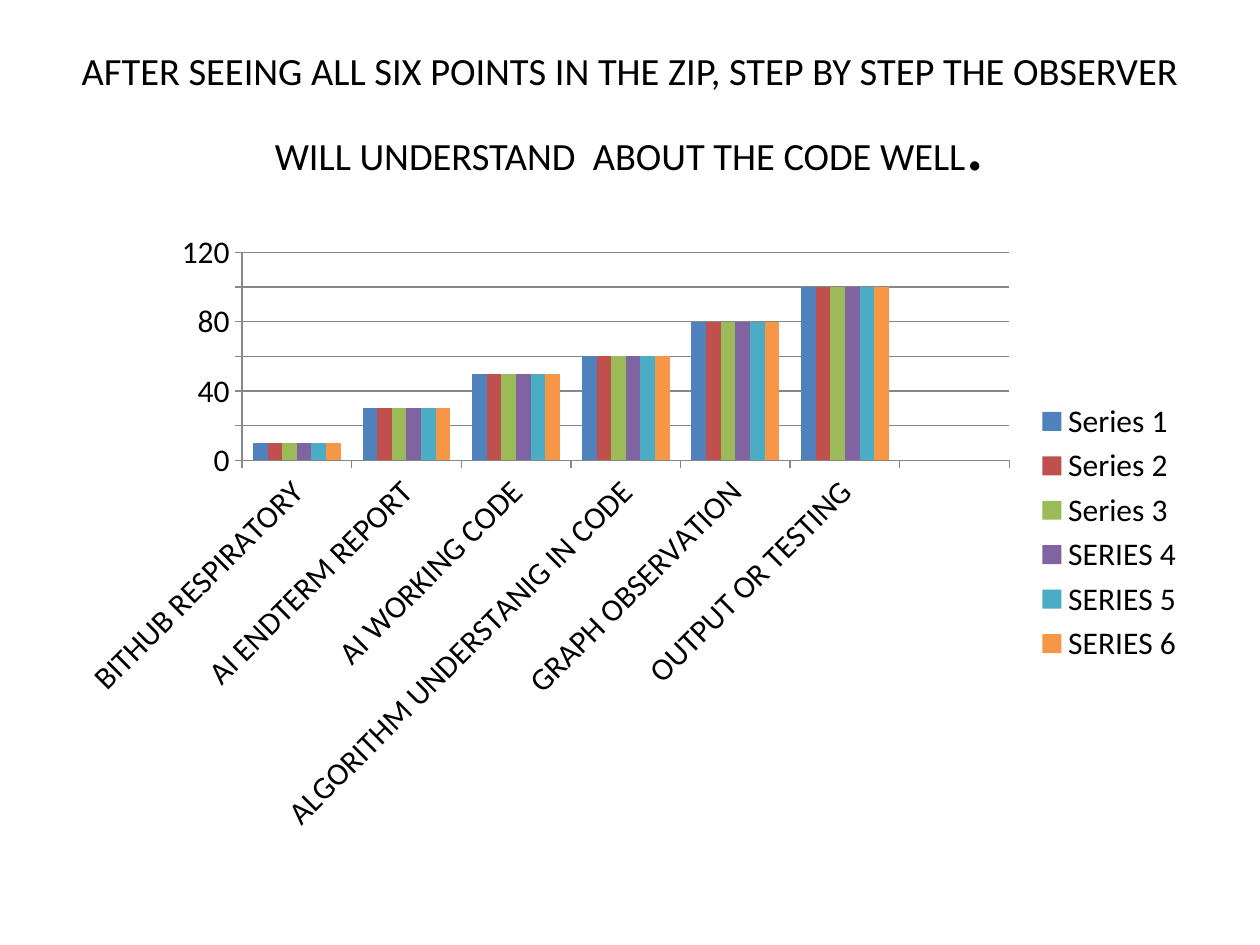
from pptx import Presentation
from pptx.chart.data import CategoryChartData
from pptx.dml.color import RGBColor
from pptx.enum.chart import XL_CHART_TYPE, XL_LEGEND_POSITION, XL_TICK_MARK
from pptx.enum.text import MSO_ANCHOR, MSO_AUTO_SIZE, PP_ALIGN
from pptx.oxml.ns import qn
from pptx.util import Cm, Pt

BLACK = RGBColor(0x00, 0x00, 0x00)
GRAY = RGBColor(0x87, 0x87, 0x87)
BLUE = RGBColor(0x4F, 0x81, 0xBD)
RED = RGBColor(0xC0, 0x50, 0x4D)
GREEN = RGBColor(0x9B, 0xBB, 0x59)
PURPLE = RGBColor(0x80, 0x64, 0xA2)
TEAL = RGBColor(0x4B, 0xAC, 0xC6)
ORANGE = RGBColor(0xF7, 0x96, 0x46)

SERIES = {"Series 1": BLUE, "Series 2": RED, "Series 3": GREEN,
          "SERIES 4": PURPLE, "SERIES 5": TEAL, "SERIES 6": ORANGE}
PROGRESS = {"BITHUB RESPIRATORY": 10, "AI ENDTERM REPORT": 30,
            "AI WORKING CODE": 50, "ALGORITHM UNDERSTANIG IN CODE": 60,
            "GRAPH OBSERVATION": 80, "OUTPUT OR TESTING": 100}


class SlideWriter:
    """Holds the text style and the current slide."""

    font = "Calibri"
    color = BLACK

    def __init__(self, page):
        """Start writing on the given page."""
        self.page = page

    def style(self, font, size):
        """Apply the common font style at a size in points."""
        font.name = self.font
        font.size = Pt(size)
        font.color.rgb = self.color

    def title(self, spans, left, top, width, height):
        """Fill and place the title from (text, size) spans."""
        box = self.page.shapes.title
        box.left, box.top, box.width, box.height = left, top, width, height
        frame = box.text_frame
        frame.word_wrap = True
        frame.auto_size = MSO_AUTO_SIZE.NONE
        frame.vertical_anchor = MSO_ANCHOR.MIDDLE
        para = frame.paragraphs[0]
        para.alignment = PP_ALIGN.CENTER
        for text, size in spans:
            span = para.add_run()
            span.text = text
            self.style(span.font, size)

    def column_chart(self, data, colors, left, top, width, height):
        """Add a clustered column chart with a legend at the right."""
        chart = self.page.shapes.add_chart(
            XL_CHART_TYPE.COLUMN_CLUSTERED, left, top, width, height, data).chart
        self.style(chart.font, 18)
        chart.has_title = False
        chart.has_legend = True
        chart.legend.position = XL_LEGEND_POSITION.RIGHT
        chart.legend.include_in_layout = False
        plot = chart.plots[0]
        plot.vary_by_categories = False
        plot.gap_width = 150
        plot.overlap = 0
        for series, color in zip(plot.series, colors):
            series.format.fill.solid()
            series.format.fill.fore_color.rgb = color
            series.invert_if_negative = False
        values = chart.value_axis
        values.minimum_scale, values.maximum_scale = 0, 120
        values.major_unit = 20
        values.has_major_gridlines = True
        for axis in (chart.category_axis, values):
            axis.major_tick_mark = XL_TICK_MARK.OUTSIDE
            axis.minor_tick_mark = XL_TICK_MARK.NONE
            self.line(axis.format.line)
        self.line(values.major_gridlines.format.line)
        self.style(chart.category_axis.tick_labels.font, 18)
        labels = chart.category_axis._element.find(qn("c:txPr"))
        labels.find(qn("a:bodyPr")).set("rot", "-2700000")

    def line(self, line):
        """Give an axis or grid line its thin gray look."""
        line.color.rgb = GRAY
        line.width = Pt(0.75)


def progress_data():
    """Return the equal series, with a last category left unnamed."""
    data = CategoryChartData()
    data.categories = [*PROGRESS, ""]
    for index, name in enumerate(SERIES):
        data.add_series(name, [*PROGRESS.values(), None if index else 0])
    return data


def main():
    """Build and save the deck."""
    deck = Presentation()
    deck.slide_width, deck.slide_height = Cm(25.4), Cm(19.05)
    writer = SlideWriter(deck.slides.add_slide(deck.slide_layouts[5]))
    left, width = Cm(1.27), Cm(22.86)
    writer.title(
        [("AFTER SEEING ALL SIX POINTS IN THE ZIP, STEP BY STEP THE OBSERVER "
          "WILL UNDERSTAND  ABOUT THE CODE WELL", 22), (".", 44)],
        left, Cm(0.76), width, Cm(3.18))
    writer.column_chart(progress_data(), SERIES.values(),
                        left, Cm(4.45), width, Cm(12.57))
    deck.save("out.pptx")


main()
